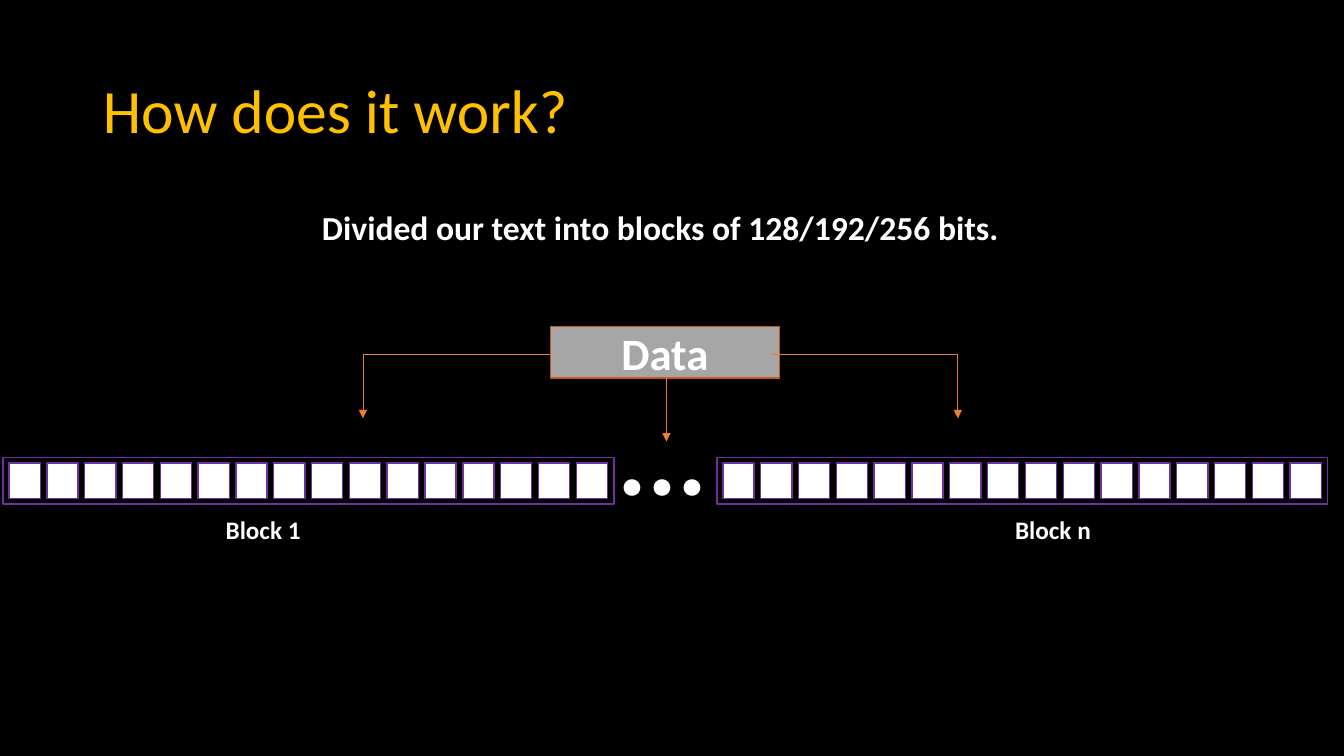
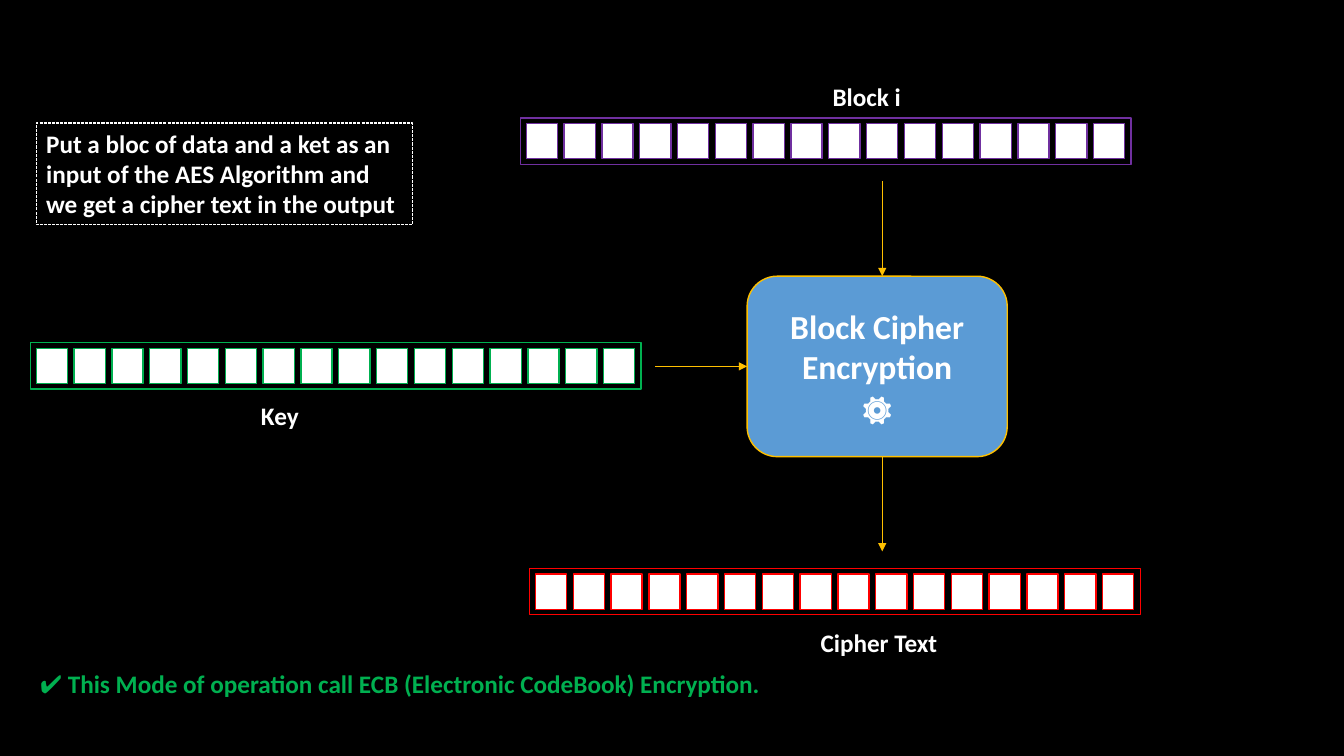
from pptx import Presentation
from pptx.dml.color import RGBColor
from pptx.enum.dml import MSO_LINE
from pptx.enum.shapes import MSO_CONNECTOR, MSO_SHAPE
from pptx.enum.text import MSO_ANCHOR, MSO_AUTO_SIZE, PP_ALIGN
from pptx.oxml.ns import qn
from pptx.util import Inches, Pt
from lxml import etree

BLACK = RGBColor(0x00, 0x00, 0x00)
WHITE = RGBColor(0xFF, 0xFF, 0xFF)
GOLD = RGBColor(0xFF, 0xC0, 0x00)
GRAY = RGBColor(0xA6, 0xA6, 0xA6)
RUST = RGBColor(0xC5, 0x5A, 0x11)
ORANGE = RGBColor(0xED, 0x7D, 0x31)
PURPLE = RGBColor(0x70, 0x30, 0xA0)
GREEN = RGBColor(0x00, 0xB0, 0x50)
RED = RGBColor(0xFF, 0x00, 0x00)
BLUE = RGBColor(0x5B, 0x9B, 0xD5)

FONT = "Calibri"
RECTANGLE = MSO_SHAPE.RECTANGLE
ROUNDED = MSO_SHAPE.ROUNDED_RECTANGLE
STRAIGHT = MSO_CONNECTOR.STRAIGHT
SYSTEM_DASH = MSO_LINE.SQUARE_DOT
TOP, MIDDLE = MSO_ANCHOR.TOP, MSO_ANCHOR.MIDDLE
LEFT, CENTER = PP_ALIGN.LEFT, PP_ALIGN.CENTER
FIXED, GROW = MSO_AUTO_SIZE.NONE, MSO_AUTO_SIZE.SHAPE_TO_FIT_TEXT

TITLE_ONLY, BLANK = 5, 6
STRIP_WIDTH, STRIP_HEIGHT = 6.06, 0.46
CELL_COUNT, CELL_WIDTH, CELL_HEIGHT = 16, 0.31, 0.35
CELL_INSET, CELL_PITCH = 0.06, 0.375


def inches(box):
    return [Inches(length) for length in box]


def write(shape, lines, size=18, color=WHITE, bold=True, align=LEFT,
          anchor=TOP, fit=FIXED, spacing=1.0):
    frame = shape.text_frame
    frame_format = {"word_wrap": True, "auto_size": fit, "vertical_anchor": anchor}
    for name, value in frame_format.items():
        setattr(frame, name, value)
    frame.text = "\n".join(lines)
    span_format = {"name": FONT, "size": Pt(size), "bold": bold}
    for para in frame.paragraphs:
        para.alignment = align
        para.line_spacing = spacing
        for span in para.runs:
            for name, value in span_format.items():
                setattr(span.font, name, value)
            span.font.color.rgb = color


def add_text(page, box, text, **style):
    write(page.shapes.add_textbox(*inches(box)), [text], **style)


def add_label(page, box, text, color=WHITE):
    add_text(page, box, text, color=color, fit=GROW)


def add_box(page, box, line, fill=None, kind=RECTANGLE, weight=1):
    shape = page.shapes.add_shape(kind, *inches(box))
    shape.shadow.inherit = False
    if fill is None:
        shape.fill.background()
    else:
        shape.fill.solid()
        shape.fill.fore_color.rgb = fill
    shape.line.color.rgb = line
    shape.line.width = Pt(weight)
    return shape


def add_line(page, start, end, color, arrow=True):
    connector = page.shapes.add_connector(STRAIGHT, *inches(start + end))
    connector.line.color.rgb = color
    connector.line.width = Pt(0.5)
    if arrow:
        etree.SubElement(connector.line._get_or_add_ln(), qn("a:tailEnd"), type="triangle")
    etree.SubElement(connector._element.spPr, qn("a:effectLst"))


def add_strip(page, left, top, color):
    cell_top = top + (STRIP_HEIGHT - CELL_HEIGHT) / 2
    for index in range(CELL_COUNT):
        cell_left = left + CELL_INSET + index * CELL_PITCH
        add_box(page, (cell_left, cell_top, CELL_WIDTH, CELL_HEIGHT), color, WHITE)
    add_box(page, (left, top, STRIP_WIDTH, STRIP_HEIGHT), color)


def add_title(page, box, text):
    title = page.shapes.title
    title.left, title.top, title.width, title.height = inches(box)
    write(title, [text], size=44, color=GOLD, bold=False, anchor=MIDDLE, spacing=0.9)


def add_data_split(page, box):
    left, top, width, height = box
    right, bottom = left + width, top + height
    branch_y, branch_end = top + 0.28, top + 0.91
    left_x, middle_x, right_x = left - 1.86, left + 1.15, right + 1.77
    data = add_box(page, box, RUST, GRAY)
    write(data, ["Data"], size=32, align=CENTER, anchor=MIDDLE)
    add_line(page, (right - 0.08, branch_y), (right_x, branch_y), ORANGE, arrow=False)
    add_line(page, (left_x, branch_y), (left, branch_y), ORANGE, arrow=False)
    for branch_x in (left_x, right_x):
        add_line(page, (branch_x, branch_y), (branch_x, branch_end), ORANGE)
    add_line(page, (middle_x, bottom), (middle_x, bottom + 0.63), ORANGE)


def add_cipher(page, box):
    left, top, width, height = box
    flow_x, key_y, bottom = left + 1.34, top + height / 2, top + height
    cipher = add_box(page, box, GOLD, BLUE, ROUNDED)
    write(cipher, ["Block Cipher Encryption", "\u2699"], size=24, align=CENTER, anchor=MIDDLE)
    add_line(page, (flow_x, top - 0.94), (flow_x, top), GOLD)
    add_line(page, (left - 0.91, key_y), (left, key_y), GOLD)
    add_line(page, (flow_x, bottom), (flow_x, bottom + 0.94), GOLD)


def build_division(deck):
    page = deck.slides.add_slide(deck.slide_layouts[TITLE_ONLY])
    add_title(page, (0.92, 0.4, 11.5, 1.45), "How does it work?")
    add_text(page, (3, 1.85, 7.1, 0.8), "Divided our text into blocks of 128/192/256 bits.",
             size=24, align=CENTER, anchor=MIDDLE)
    add_data_split(page, (5.46, 3.24, 2.27, 0.51))
    for strip_left, label_left, label in ((0.03, 2.14, "Block 1"), (7.11, 9.97, "Block n")):
        add_strip(page, strip_left, 4.54, PURPLE)
        add_label(page, (label_left, 5.05, 1.06, 0.4), label)
    add_text(page, (6.03, 3.76, 1.69, 1.45), "...", size=80, fit=GROW)


def build_encryption(deck):
    page = deck.slides.add_slide(deck.slide_layouts[BLANK])
    strips = (
        (5.16, 1.17, PURPLE, (8.16, 0.76, 0.9, 0.4), "Block i"),
        (0.3, 3.4, GREEN, (2.49, 3.92, 0.75, 0.4), "Key"),
        (5.25, 5.64, RED, (8.04, 6.17, 1.44, 0.4), "Cipher Text"),
    )
    for left, top, color, label_box, label in strips:
        add_strip(page, left, top, color)
        add_label(page, label_box, label)
    add_cipher(page, (7.41, 2.74, 2.58, 1.79))
    note = add_box(page, (0.36, 1.22, 3.73, 1.01), WHITE, weight=0.75)
    note.line.dash_style = SYSTEM_DASH
    write(note, ["Put a bloc of data and a ket as an input of the AES Algorithm "
                 "and we get a cipher text in the output"], fit=GROW)
    add_label(page, (0.3, 6.58, 7.79, 0.4),
              "\u2714 This Mode of operation call ECB (Electronic CodeBook) Encryption.", GREEN)


def main():
    deck = Presentation()
    deck.slide_width, deck.slide_height = inches((13.33, 7.5))
    backdrop = deck.slide_master.background.fill
    backdrop.solid()
    backdrop.fore_color.rgb = BLACK
    build_division(deck)
    build_encryption(deck)
    deck.save("out.pptx")


main()
